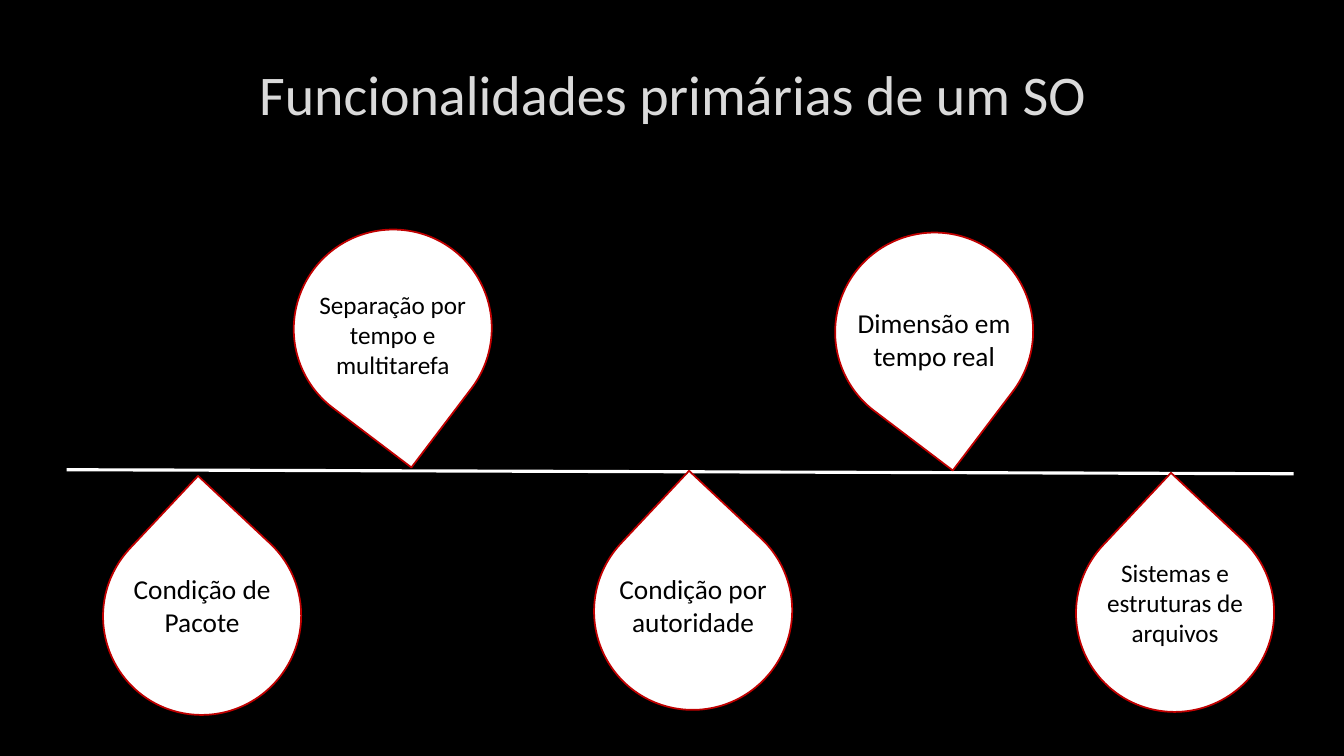
"""Builds a slide with the primary functions of an operating system along a line."""
from lxml import etree
from pptx import Presentation
from pptx.dml.color import RGBColor
from pptx.enum.shapes import MSO_CONNECTOR, MSO_SHAPE
from pptx.enum.text import MSO_ANCHOR, PP_ALIGN
from pptx.oxml import parse_xml
from pptx.oxml.ns import qn
from pptx.util import Inches, Pt

TEARDROP = MSO_SHAPE.TEAR
STRAIGHT = MSO_CONNECTOR.STRAIGHT
MIDDLE = MSO_ANCHOR.MIDDLE
CENTER = PP_ALIGN.CENTER

TITLE = "Funcionalidades primárias de um SO"
TIP_UP, TIP_DOWN = 313.2, 127.2
FUNCTIONS = [
    ("Condição de Pacote", 19.5, TIP_UP, 1.02, 5.13, 5.58),
    ("Separação por tempo e multitarefa", 18, TIP_DOWN, 2.91, 2.28, 2.89),
    ("Condição por autoridade", 19.5, TIP_UP, 5.89, 5.08, 5.58),
    ("Dimensão em tempo real", 19.5, TIP_DOWN, 8.28, 2.31, 2.94),
    ("Sistemas e estruturas de arquivos", 18, TIP_UP, 10.67, 5.1, 5.55),
]
DROP_WIDTH, DROP_HEIGHT = 1.97, 1.96
LABEL_WIDTH, LABEL_HEIGHT = 2.19, 0.85
TEXT_SHADOW = (
    '<a:effectLst xmlns:a="http://schemas.openxmlformats.org/drawingml/2006/main">'
    '<a:outerShdw blurRad="38100" dist="25400" dir="2700000" algn="tl">'
    '<a:srgbClr val="000000"><a:alpha val="45000"/></a:srgbClr>'
    '</a:outerShdw></a:effectLst>'
)


def color(hex_code):
    return RGBColor.from_string(hex_code)


def add_text(slide, text, left, top, width, height, size, ink, inset=0.1, shadow=False):
    box = slide.shapes.add_textbox(*map(Inches, (left, top, width, height)))
    frame = box.text_frame
    frame.word_wrap = True
    frame.vertical_anchor = MIDDLE
    frame.margin_left = frame.margin_right = Inches(inset)
    paragraph = frame.paragraphs[0]
    paragraph.alignment = CENTER
    run = paragraph.add_run()
    run.text = text
    run.font.size = Pt(size)
    run.font.name = "Calibri"
    run.font.color.rgb = color(ink)
    if shadow:
        run.font.fill.fore_color.rgb = color(ink)
        fill = run.font._element.find(qn("a:solidFill"))
        fill.addnext(parse_xml(TEXT_SHADOW))


def add_drop(slide, left, top, rotation):
    drop = slide.shapes.add_shape(
        TEARDROP, *map(Inches, (left, top, DROP_WIDTH, DROP_HEIGHT)))
    drop.rotation = rotation
    drop.shadow.inherit = False
    drop.fill.solid()
    drop.fill.fore_color.rgb = color("FFFFFF")
    drop.line.color.rgb = color("C00000")
    drop.line.width = Pt(1.25)


def add_timeline(slide):
    timeline = slide.shapes.add_connector(
        STRAIGHT, *map(Inches, (0.66, 4.66, 12.83, 4.7)))
    timeline.line.color.rgb = color("FFFFFF")
    timeline.line.width = Pt(2.25)
    etree.SubElement(timeline._element.spPr, qn("a:effectLst"))


def main():
    deck = Presentation()
    deck.slide_width, deck.slide_height = Inches(13.33), Inches(7.5)
    slide = deck.slides.add_slide(deck.slide_layouts[6])
    slide.background.fill.solid()
    slide.background.fill.fore_color.rgb = color("000000")

    add_text(slide, TITLE, 1.01, 0.39, 11.32, 1.06, size=40, ink="DADADA")
    add_timeline(slide)
    for label, size, rotation, left, drop_top, label_top in FUNCTIONS:
        add_drop(slide, left, drop_top, rotation)
        label_left = left - (LABEL_WIDTH - DROP_WIDTH) / 2
        add_text(slide, label, label_left, label_top, LABEL_WIDTH, LABEL_HEIGHT,
                 size=size, ink="000000", inset=0.2, shadow=True)
    deck.save("out.pptx")


if __name__ == "__main__":
    main()
